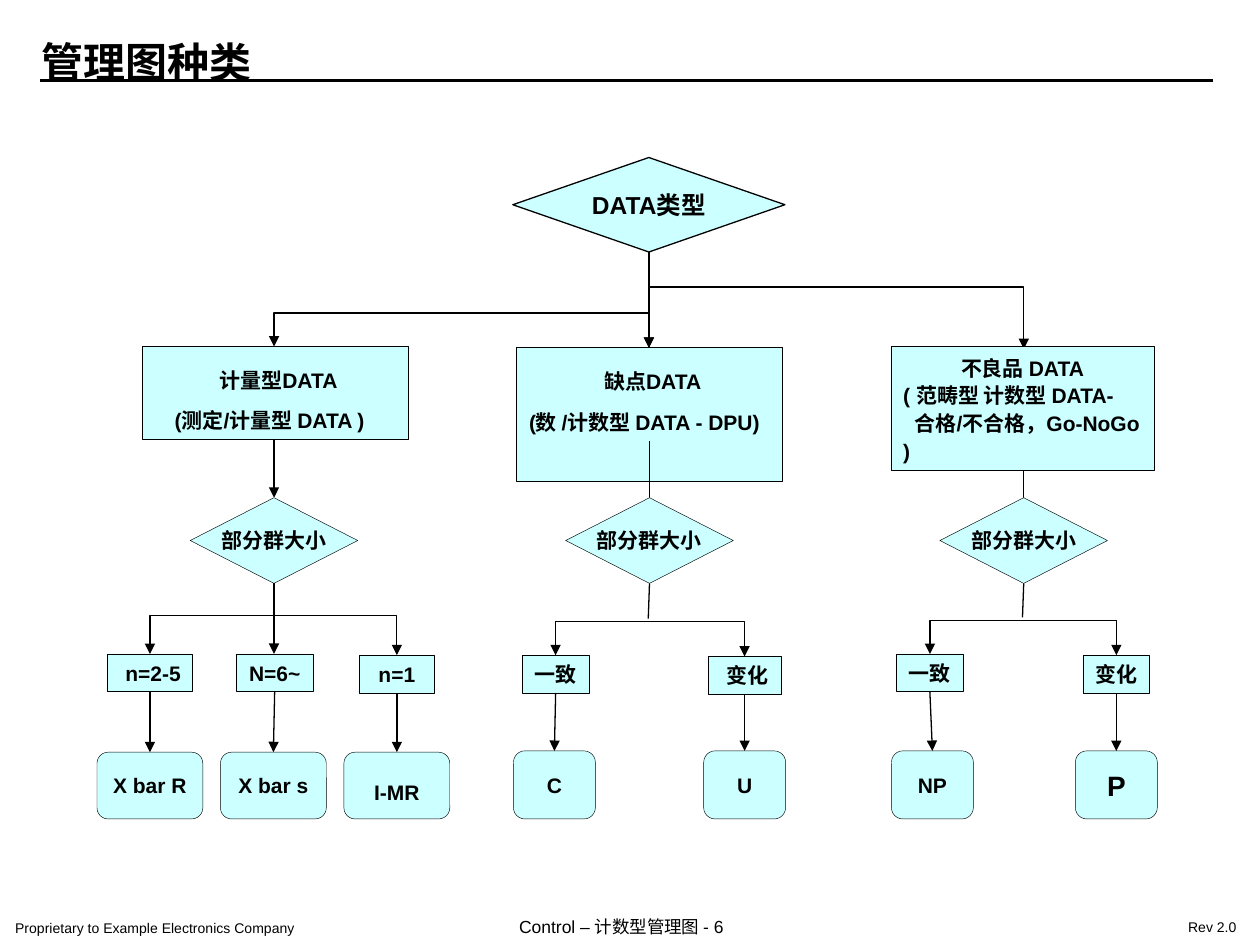
from dataclasses import dataclass

from lxml.etree import SubElement
from pptx import Presentation
from pptx.dml.color import RGBColor
from pptx.enum.shapes import MSO_CONNECTOR, MSO_SHAPE
from pptx.enum.text import MSO_ANCHOR, MSO_AUTO_SIZE, PP_ALIGN
from pptx.oxml.ns import qn
from pptx.util import Inches, Pt

BLACK = RGBColor(0x00, 0x00, 0x00)
PALE_CYAN = RGBColor(0xCC, 0xFF, 0xFF)
FONT = "Arial"
COLUMNS, ROWS = 100, 75
CELL = Inches(10) // COLUMNS


@dataclass
class Box:
    left: float
    top: float
    width: float
    height: float

    @property
    def center(self):
        return self.left + self.width / 2

    @property
    def bottom(self):
        return self.top + self.height


@dataclass
class Line:
    text: str
    align: PP_ALIGN = PP_ALIGN.CENTER
    left: float = 0
    right: float = 0
    first: float = 0
    spacing: float = 1


@dataclass
class Leaf:
    case: Line
    case_center: float
    case_top: float
    case_width: float
    result: str
    result_center: float
    size: int = 12
    drop: float = 0


@dataclass
class Branch:
    box: Box
    header: Box
    lines: list
    stem_top: float
    stem_arrow: bool
    bracket: float
    result_size: tuple
    leaves: list


def grid(value):
    return round(value * CELL)


def bounds(box):
    return [grid(value) for value in (box.left, box.top, box.width, box.height)]


def write(shape, lines, size, bold=True, anchor=MSO_ANCHOR.TOP, wrap=False,
          side=1.0, upper=0.5, lower=0.5):
    frame = shape.text_frame
    frame.auto_size = MSO_AUTO_SIZE.NONE
    frame.word_wrap = wrap
    frame.vertical_anchor = anchor
    frame.margin_left = frame.margin_right = grid(side)
    frame.margin_top, frame.margin_bottom = grid(upper), grid(lower)
    for index, line in enumerate(lines):
        para = frame.add_paragraph() if index else frame.paragraphs[0]
        para.alignment = line.align
        para.line_spacing = line.spacing
        indents = {"marL": line.left, "marR": line.right, "indent": line.first}
        for name, value in indents.items():
            para._p.get_or_add_pPr().set(name, str(grid(value)))
        span = para.add_run()
        span.text = line.text
        span.font.name, span.font.size, span.font.bold = FONT, Pt(size), bold
        span.font.color.rgb = BLACK


def add_node(page, kind, box, lines, size=12, weight=0.25, **layout):
    node = page.shapes.add_shape(kind, *bounds(box))
    node.shadow.inherit = False
    node.fill.solid()
    node.fill.fore_color.rgb = PALE_CYAN
    node.line.color.rgb = BLACK
    node.line.width = Pt(weight)
    write(node, lines, size, **layout)


def add_label(page, box, text, size, **layout):
    label = page.shapes.add_textbox(*bounds(box))
    write(label, [Line(text, PP_ALIGN.LEFT)], size, **layout)


def add_line(page, start, end, arrows=(), weight=0.75, kind=MSO_CONNECTOR.STRAIGHT):
    line = page.shapes.add_connector(kind, *[grid(value) for value in (*start, *end)])
    line.line.color.rgb = BLACK
    line.line.width = Pt(weight)
    for end_name in arrows:
        SubElement(line.line._get_or_add_ln(), qn(f"a:{end_name}"), type="triangle")
    SubElement(line._element.spPr, qn("a:effectLst"))
    return line


def add_bracket(page, left, right, foot, bar):
    step = 0.1
    line = add_line(page, (left, foot), (right, foot + step), ("headEnd", "tailEnd"),
                    kind=MSO_CONNECTOR.ELBOW)
    span = right - left
    line.left = grid((left + right - step) / 2)
    line.top = grid(foot + step / 2 - span / 2)
    line.width, line.height = grid(step), grid(span)
    transform = line._element.spPr.find(qn("a:xfrm"))
    transform.set("rot", str(270 * 60000))
    transform.set("flipH", "1")
    guides = line._element.spPr.find(qn("a:prstGeom")).get_or_add_avLst()
    bend = round((bar - foot) / step * 100000)
    SubElement(guides, qn("a:gd"), name="adj1", fmla=f"val {bend}")


def add_title(page, box):
    add_label(page, Box(box.left - 0.9, box.top, 19.6, 5), "管理图种类", 24)
    add_line(page, (box.left, box.bottom), (box.left + box.width, box.bottom), weight=1.5)


def add_footer(page, box):
    notes = (
        (0, 0.3, 32.1, "Proprietary to Example Electronics Company", 8),
        (40, 0, 24.9, "Control – 计数型管理图 - 6", 10),
        (93.1, 0.2, 6.6, "Rev 2.0", 8),
    )
    for left, top, width, text, size in notes:
        area = Box(box.left + left, box.top + top, width, box.height - top)
        add_label(page, area, text, size, bold=False, side=1.2, upper=0.6, lower=0.6)


def add_root(page, box, left_center, right_center, foot):
    add_node(page, MSO_SHAPE.DIAMOND, box, [Line("DATA类型")], 14, 0.75,
             anchor=MSO_ANCHOR.MIDDLE)
    add_bracket(page, left_center, box.center, foot, foot - 2.7)
    add_bracket(page, box.center, right_center, foot + 0.1, foot - 4.8)
    add_line(page, (box.center, box.bottom), (box.center, foot + 0.1))


def add_leaf(page, box, leaf, result_size):
    case_center, result_center = box.left + leaf.case_center, box.left + leaf.result_center
    case = Box(case_center - leaf.case_width / 2, box.top + leaf.case_top, leaf.case_width, 3)
    width, height = result_size
    result = Box(result_center - width / 2, box.bottom - height, width, height)
    add_node(page, MSO_SHAPE.RECTANGLE, case, [leaf.case])
    add_node(page, MSO_SHAPE.ROUNDED_RECTANGLE, result, [Line(leaf.result)], leaf.size,
             anchor=MSO_ANCHOR.MIDDLE, upper=0.5 + leaf.drop)
    add_line(page, (case_center, case.bottom), (result_center, result.top), ["tailEnd"])


def add_branch(page, branch):
    box, header = branch.box, branch.header
    area = Box(box.left + header.left, box.top + header.top, header.width, header.height)
    diamond = Box(box.center - 6.65, box.top + 12, 13.3, 6.8)
    bar = box.top + branch.bracket
    leaves = branch.leaves
    add_node(page, MSO_SHAPE.RECTANGLE, area, branch.lines, wrap=True)
    add_line(page, (box.center, box.top + branch.stem_top), (box.center, diamond.top),
             ["tailEnd"] if branch.stem_arrow else ())
    add_node(page, MSO_SHAPE.DIAMOND, diamond, [Line("部分群大小")],
             anchor=MSO_ANCHOR.MIDDLE)
    for leaf in leaves:
        add_leaf(page, box, leaf, branch.result_size)
    add_bracket(page, box.left + leaves[0].case_center, box.left + leaves[-1].case_center,
                box.top + leaves[0].case_top, bar)
    if len(leaves) % 2:
        middle = leaves[len(leaves) // 2]
        add_line(page, (box.center, diamond.bottom),
                 (box.center, box.top + middle.case_top), ["tailEnd"])
    else:
        add_line(page, (box.center, diamond.bottom), (box.center - 0.1, bar - 0.2))


def main():
    deck = Presentation()
    deck.slide_width, deck.slide_height = grid(COLUMNS), grid(ROWS)
    page = deck.slides.add_slide(deck.slide_layouts[6])
    left = PP_ALIGN.LEFT
    branches = [
        Branch(Box(7.7, 27.5, 28.1, 37.5), Box(3.6, 0, 21.1, 7.4),
               [Line("计量型DATA", left=0.5, spacing=1.6),
                Line("(测定/计量型 DATA )", right=0.9, spacing=1.6)],
               7.4, True, 21.3, (8.4, 5.3),
               [Leaf(Line("n=2-5", left=0.5), 4.2, 24.4, 6.8, "X bar R", 4.2),
                Leaf(Line("N=6~"), 14.1, 24.4, 6.1, "X bar s", 14),
                Leaf(Line("n=1"), 23.8, 24.5, 6, "I-MR", 23.8, drop=1)]),
        Branch(Box(40.8, 27.5, 21.5, 37.5), Box(0.2, 0.1, 21.1, 10.6),
               [Line("缺点DATA", left=0.5, spacing=1.6),
                Line("(数 /计数型 DATA - DPU)", left, spacing=1.6)],
               7.5, False, 21.8, (6.5, 5.4),
               [Leaf(Line("一致"), 3.3, 24.5, 5.3, "C", 3.2),
                Leaf(Line("变化", left=0.5), 18.3, 24.6, 5.8, "U", 18.3)]),
        Branch(Box(70.8, 27.5, 20.9, 37.5), Box(-0.1, 0, 20.9, 9.8),
               [Line("不良品 DATA", spacing=1.1),
                Line("( 范畴型 计数型 DATA-", left, spacing=1.1),
                Line("合格/不合格，Go-NoGo )", left, first=0.9, spacing=1.1)],
               9.8, False, 21.7, (6.5, 5.4),
               [Leaf(Line("一致"), 3, 24.4, 5.3, "NP", 3.2),
                Leaf(Line("变化"), 17.8, 24.5, 5.3, "P", 17.8, size=16)]),
    ]
    add_footer(page, Box(0, 72.1, COLUMNS, 2.9))
    add_title(page, Box(3.2, 2.4, 93.1, 4))
    add_root(page, Box(40.7, 12.5, 21.6, 7.5), branches[0].box.center,
             branches[-1].box.center, 27.5)
    for branch in branches:
        add_branch(page, branch)
    deck.save("out.pptx")


if __name__ == "__main__":
    main()
